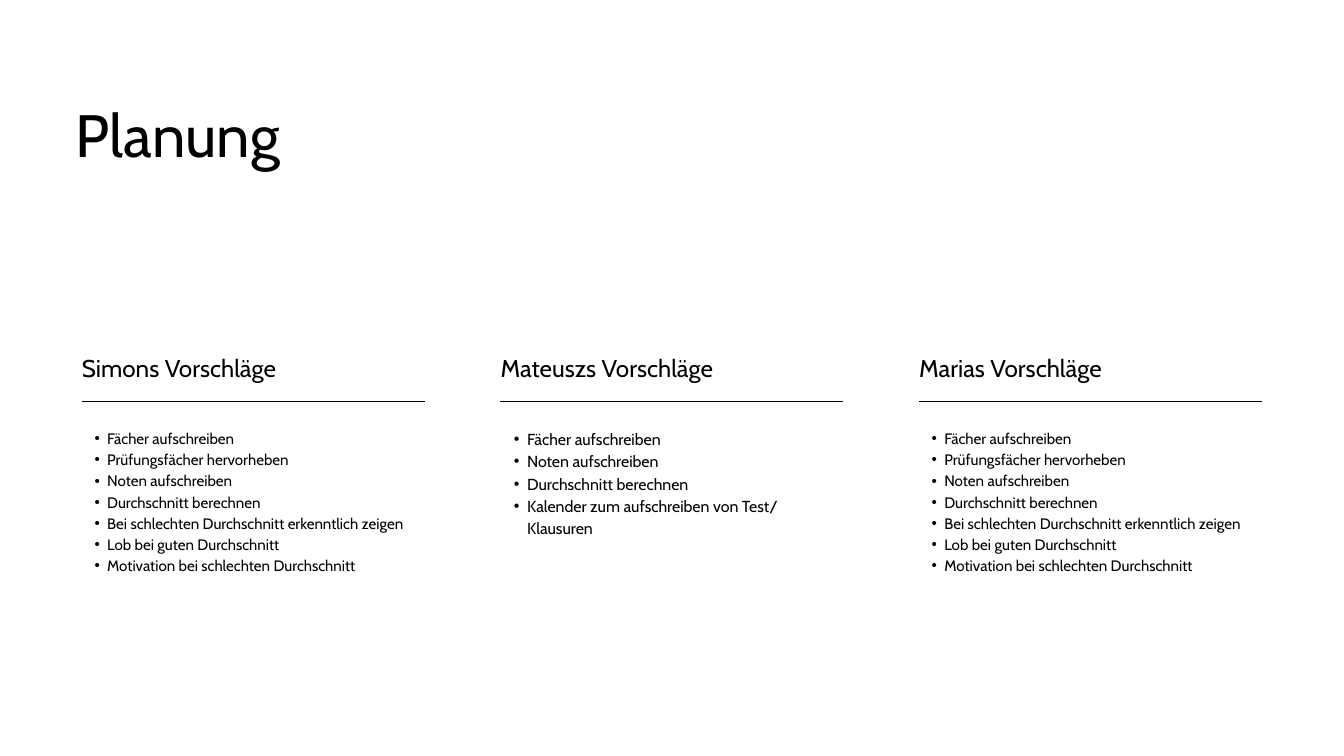
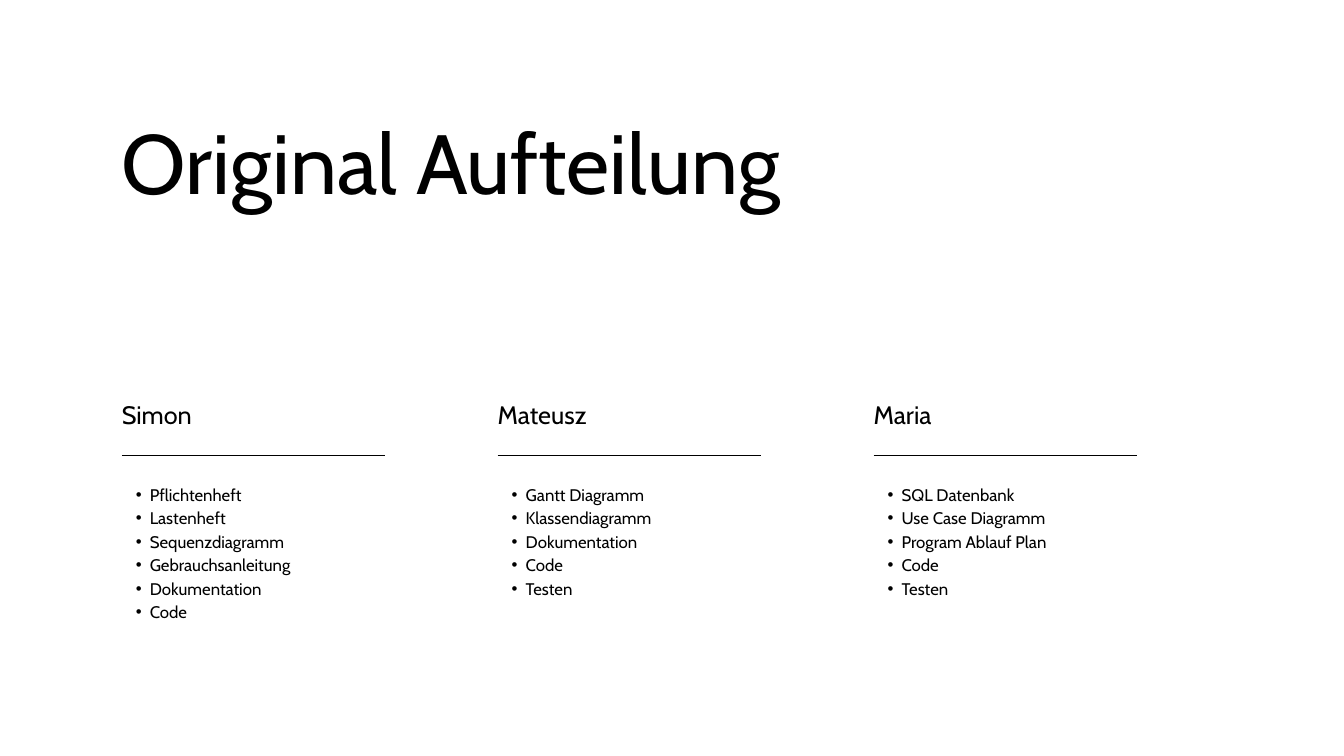
from dataclasses import dataclass

from lxml.etree import SubElement
from pptx import Presentation
from pptx.dml.color import RGBColor
from pptx.enum.shapes import MSO_CONNECTOR
from pptx.enum.text import MSO_ANCHOR, MSO_AUTO_SIZE, PP_ALIGN
from pptx.oxml.ns import qn
from pptx.shapes.group import GroupShape
from pptx.text.text import TextFrame
from pptx.util import Emu, Pt

PX = 9525  # EMU per px, 96 px to the inch
COLORS = {"ink": "000000", "paper": "FFFFFF"}
FONT = "Cabin"
LEAD = 1.4  # line pitch of heads and lists, relative to size
INDENT = 2.24  # px of list indent per point of text size


@dataclass(frozen=True)
class Box:
    left: int
    top: int
    width: int
    height: int

    def emu(self) -> tuple[Emu, ...]:
        return tuple(Emu(n * PX) for n in
                     (self.left, self.top, self.width, self.height))


@dataclass(frozen=True)
class Column:
    head: str
    items: list[str]
    size: float
    height: int


@dataclass(frozen=True)
class Page:
    title: str
    title_box: Box
    title_size: int
    title_lead: float
    head_box: Box  # head of the first column
    head_size: int
    step: int  # distance from column to column
    rule_top: int
    list_top: int
    columns: list[Column]


WISHES = [
    "Fächer aufschreiben",
    "Prüfungsfächer hervorheben",
    "Noten aufschreiben",
    "Durchschnitt berechnen",
    "Bei schlechten Durchschnitt erkenntlich zeigen",
    "Lob bei guten Durchschnitt",
    "Motivation bei schlechten Durchschnitt",
]

PAGES = [
    Page("Planung", Box(108, 139, 1704, 102), 64, 1.2,
         Box(117, 497, 490, 45), 26, 598, 573, 609, [
             Column("Simons Vorschläge", WISHES, 16.2, 246),
             Column("Mateuszs Vorschläge", [
                 "Fächer aufschreiben", "Noten aufschreiben",
                 "Durchschnitt berechnen",
                 "Kalender zum aufschreiben von Test/ Klausuren",
             ], 17.1, 159),
             Column("Marias Vorschläge", WISHES, 16.2, 246),
         ]),
    Page("Original Aufteilung", Box(174, 170, 1572, 135), 90, 1.1,
         Box(174, 563, 376, 47), 27, 537, 650, 687, [
             Column("Simon", [
                 "Pflichtenheft", "Lastenheft", "Sequenzdiagramm",
                 "Gebrauchsanleitung", "Dokumentation", "Code",
             ], 18, 196),
             Column("Mateusz", [
                 "Gantt Diagramm", "Klassendiagramm", "Dokumentation",
                 "Code", "Testen",
             ], 18, 162),
             Column("Maria", [
                 "SQL Datenbank", "Use Case Diagramm", "Program Ablauf Plan",
                 "Code", "Testen",
             ], 18, 166),
         ]),
]


def color(name: str) -> RGBColor:
    return RGBColor.from_string(COLORS[name])


def write(frame: TextFrame, lines: list[str], size: float, lead: float) -> None:
    """Fill a frame with evenly styled lines, without margins."""
    frame.text = "\n".join(lines)
    frame.word_wrap = True
    frame.auto_size = MSO_AUTO_SIZE.SHAPE_TO_FIT_TEXT
    frame.vertical_anchor = MSO_ANCHOR.TOP
    frame.margin_left = frame.margin_right = 0
    frame.margin_top = frame.margin_bottom = 0
    for para in frame.paragraphs:
        para.alignment = PP_ALIGN.LEFT
        para.line_spacing = Pt(round(size * lead, 1))
        para.font.name = FONT
        para.font.size = Pt(size)
        para.font.color.rgb = color("ink")


def add_text(group: GroupShape, box: Box, lines: list[str],
             size: float) -> TextFrame:
    frame = group.shapes.add_textbox(*box.emu()).text_frame
    write(frame, lines, size, LEAD)
    return frame


def add_bullets(frame: TextFrame, size: float) -> None:
    indent = round(size * INDENT) * PX
    for para in frame.paragraphs:
        para.level = 1
        props = para._p.get_or_add_pPr()
        props.set("marL", str(indent))
        props.set("indent", str(-indent // 2))
        SubElement(props, qn("a:buFont")).set("typeface", "Arial")
        SubElement(props, qn("a:buChar")).set("char", "•")
        # Bullet marks come before the default run style
        style = props.find(qn("a:defRPr"))
        if style is not None:
            props.append(style)


def add_rule(group: GroupShape, left: int, top: int, width: int) -> None:
    rule = group.shapes.add_connector(
        MSO_CONNECTOR.STRAIGHT, left * PX, top * PX,
        (left + width) * PX, top * PX)
    rule.line.color.rgb = color("ink")
    rule.line.width = Pt(1)
    SubElement(rule._element.spPr, qn("a:effectLst"))


def add_column(group: GroupShape, page: Page, column: Column,
               left: int) -> None:
    head = page.head_box
    add_text(group, Box(left, head.top, head.width, head.height),
             [column.head], page.head_size)
    body = Box(left, page.list_top, head.width, column.height)
    add_bullets(add_text(group, body, column.items, column.size), column.size)
    add_rule(group, left, page.rule_top, head.width)


def add_page(deck: Presentation, page: Page) -> None:
    slide = deck.slides.add_slide(deck.slide_layouts[5])
    slide.background.fill.solid()
    slide.background.fill.fore_color.rgb = color("paper")
    # Title
    title = slide.shapes.title
    title.left, title.top, title.width, title.height = page.title_box.emu()
    write(title.text_frame, [page.title], page.title_size, page.title_lead)
    # Columns
    for i, column in enumerate(page.columns):
        add_column(slide.shapes.add_group_shape(), page, column,
                   page.head_box.left + i * page.step)


def main() -> None:
    deck = Presentation()
    deck.slide_width, deck.slide_height = Emu(1920 * PX), Emu(1080 * PX)
    for page in PAGES:
        add_page(deck, page)
    deck.save("out.pptx")


if __name__ == "__main__":
    main()
